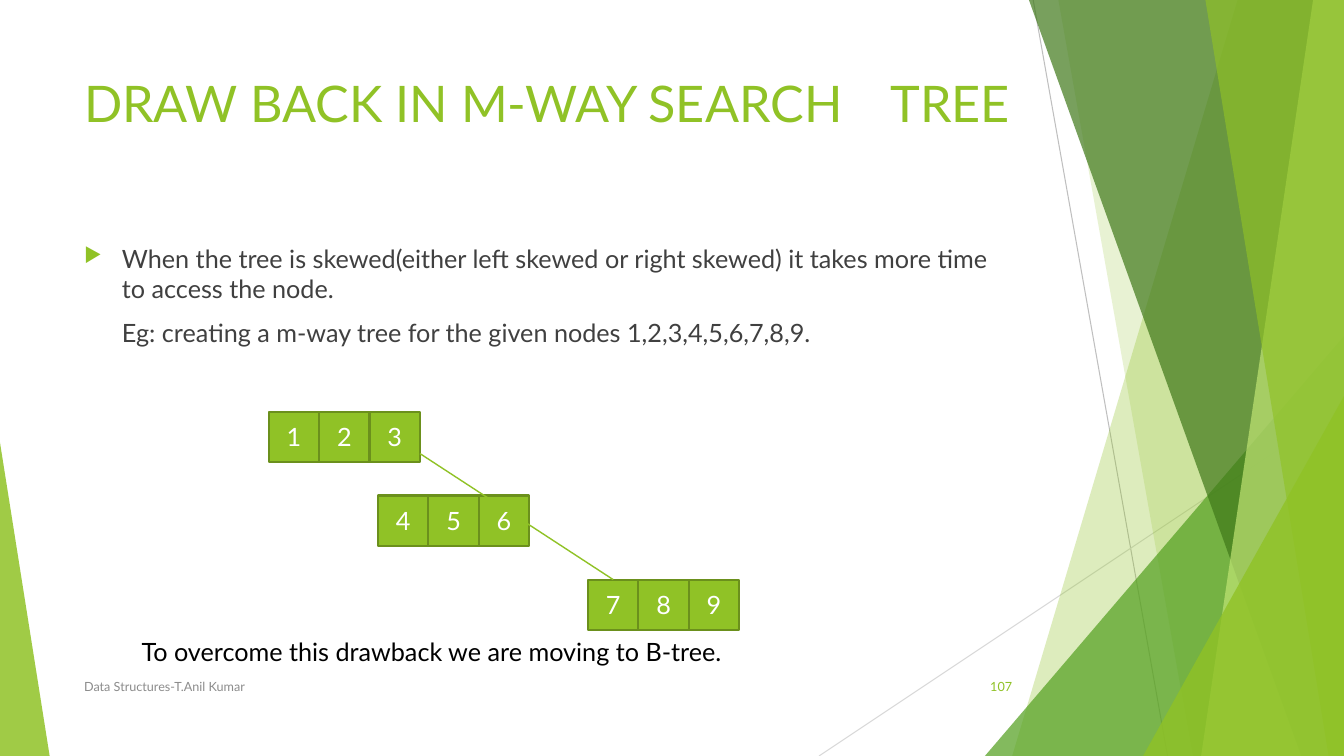
from lxml.etree import SubElement
from pptx import Presentation
from pptx.dml.color import RGBColor
from pptx.enum.shapes import MSO_CONNECTOR, MSO_SHAPE
from pptx.enum.text import MSO_ANCHOR, PP_ALIGN
from pptx.oxml.ns import qn
from pptx.util import Pt

LIME = RGBColor(0x90, 0xC2, 0x26)
PALE_LIME = RGBColor(0xC0, 0xE4, 0x74)
GREEN = RGBColor(0x54, 0xA0, 0x21)
DARK_GREEN = RGBColor(0x3F, 0x78, 0x19)
OLIVE = RGBColor(0x6B, 0x90, 0x1C)
SILVER = RGBColor(0xBF, 0xBF, 0xBF)
LIGHT_GRAY = RGBColor(0xD9, 0xD9, 0xD9)
MID_GRAY = RGBColor(0x8C, 0x8C, 0x8C)
CHARCOAL = RGBColor(0x40, 0x40, 0x40)
BLACK = RGBColor(0, 0, 0)
WHITE = RGBColor(0xFF, 0xFF, 0xFF)

FONT = "Lato"
WIDTH, HEIGHT = 960, 540
CELL = 36
INDENT = 27
NODES = [
    (192, 294, "123"),
    (270, 354, "456"),
    (420, 414, "789"),
]


def apply_format(target, values):
    for name, value in values.items():
        setattr(target, name, value)


def style_paragraph(paragraph, size, color, **values):
    apply_format(paragraph, values)
    apply_format(paragraph.font, {"name": FONT, "size": Pt(size)})
    paragraph.font.color.rgb = color


def add_line(slide, start, end, color, width):
    line = slide.shapes.add_connector(
        MSO_CONNECTOR.STRAIGHT, *map(Pt, start), *map(Pt, end))
    line.line.color.rgb = color
    line.line.width = Pt(width)
    SubElement(line._element.spPr, qn("a:effectLst"))


def fill_translucent(shape, color, opacity):
    shape.shadow.inherit = False
    shape.fill.solid()
    shape.fill.fore_color.rgb = color
    shape.line.fill.background()
    solid_color = shape._element.spPr.find(qn("a:solidFill"))[0]
    SubElement(solid_color, qn("a:alpha"), val=str(opacity * 1000))


def add_band(slide, top_left, bottom_left, color, opacity):
    builder = slide.shapes.build_freeform(Pt(top_left), 0)
    corners = [(WIDTH, 0), (WIDTH, HEIGHT), (bottom_left, HEIGHT)]
    builder.add_line_segments([(Pt(x), Pt(y)) for x, y in corners])
    fill_translucent(builder.convert_to_shape(), color, opacity)


def add_triangle(slide, left, top, width, apex, color, opacity):
    shape = slide.shapes.add_shape(
        MSO_SHAPE.ISOSCELES_TRIANGLE,
        Pt(left), Pt(top), Pt(width), Pt(HEIGHT - top))
    shape.adjustments[0] = apex
    fill_translucent(shape, color, opacity)


def add_text(slide, box, lines, size, color, anchor=MSO_ANCHOR.TOP, **values):
    frame = slide.shapes.add_textbox(*map(Pt, box)).text_frame
    apply_format(frame, {"word_wrap": True, "vertical_anchor": anchor})
    frame.text = "\n".join(lines)
    for paragraph in frame.paragraphs:
        style_paragraph(paragraph, size, color, **values)
    return frame


def indent_paragraph(paragraph, first_line):
    properties = paragraph._p.get_or_add_pPr()
    properties.set("marL", str(Pt(INDENT)))
    properties.set("indent", str(Pt(first_line)))
    return properties


def add_bullet(paragraph):
    properties = indent_paragraph(paragraph, -INDENT)
    bullet_color = SubElement(properties, qn("a:buClr"))
    SubElement(bullet_color, qn("a:srgbClr"), val=str(LIME))
    SubElement(properties, qn("a:buSzPct"), val="80000")
    SubElement(properties, qn("a:buChar"), char="▶")


def add_body(slide):
    frame = add_text(slide, (53, 170, 677, 305), [
        "When the tree is skewed(either left skewed or right skewed) "
        "it takes more time to access the node.",
        "Eg: creating a m-way tree for the given nodes 1,2,3,4,5,6,7,8,9.",
    ], 18, CHARCOAL)
    drawback, example = frame.paragraphs
    add_bullet(drawback)
    indent_paragraph(example, 0)
    example.space_before = Pt(10)


def add_node(slide, left, top, keys):
    for index, key in enumerate(keys):
        cell = slide.shapes.add_shape(
            MSO_SHAPE.RECTANGLE,
            Pt(left + index * CELL), Pt(top), Pt(CELL), Pt(CELL))
        cell.shadow.inherit = False
        cell.fill.solid()
        cell.fill.fore_color.rgb = LIME
        cell.line.color.rgb = OLIVE
        cell.line.width = Pt(1.5)
        frame = cell.text_frame
        frame.vertical_anchor = MSO_ANCHOR.MIDDLE
        frame.text = key
        style_paragraph(frame.paragraphs[0], 18, WHITE,
                        alignment=PP_ALIGN.CENTER)


def add_backdrop(slide):
    add_line(slide, (738, 0), (834, HEIGHT), SILVER, 0.75)
    add_line(slide, (WIDTH, 290), (585, HEIGHT), LIGHT_GRAY, 0.75)
    add_band(slide, 884, 723, LIME, 30)
    add_band(slide, 756, 852, LIME, 20)
    add_triangle(slide, 703.5, 240, 256.5, 1, GREEN, 72)
    add_band(slide, 735, 929.5, DARK_GREEN, 70)
    add_band(slide, 938, 858, PALE_LIME, 70)
    add_band(slide, 861, 949, LIME, 65)
    add_triangle(slide, 816.5, 283, 143.5, 1, LIME, 80)
    add_triangle(slide, 0, 316, 35.5, 0, LIME, 85)


def main():
    presentation = Presentation()
    apply_format(presentation, {"slide_width": Pt(WIDTH),
                                "slide_height": Pt(HEIGHT)})
    slide = presentation.slides.add_slide(presentation.slide_layouts[6])
    add_backdrop(slide)
    add_text(slide, (53, 48, 677, 104),
             ["DRAW BACK IN M-WAY SEARCH \tTREE"], 36, LIME)
    add_body(slide)
    add_text(slide, (53, 476, 496, 29), ["Data Structures-T.Anil Kumar"],
             9, MID_GRAY, MSO_ANCHOR.MIDDLE)
    add_text(slide, (676, 476, 54, 29), ["107"], 9, LIME,
             MSO_ANCHOR.MIDDLE, alignment=PP_ALIGN.RIGHT)
    for left, top, keys in NODES:
        add_node(slide, left, top, keys)
    add_line(slide, (300, 324), (438, 414), LIME, 1)
    add_text(slide, (94, 451, 796, 29),
             ["To overcome this drawback we are moving to B-tree."], 18, BLACK)
    presentation.save("out.pptx")


if __name__ == "__main__":
    main()
